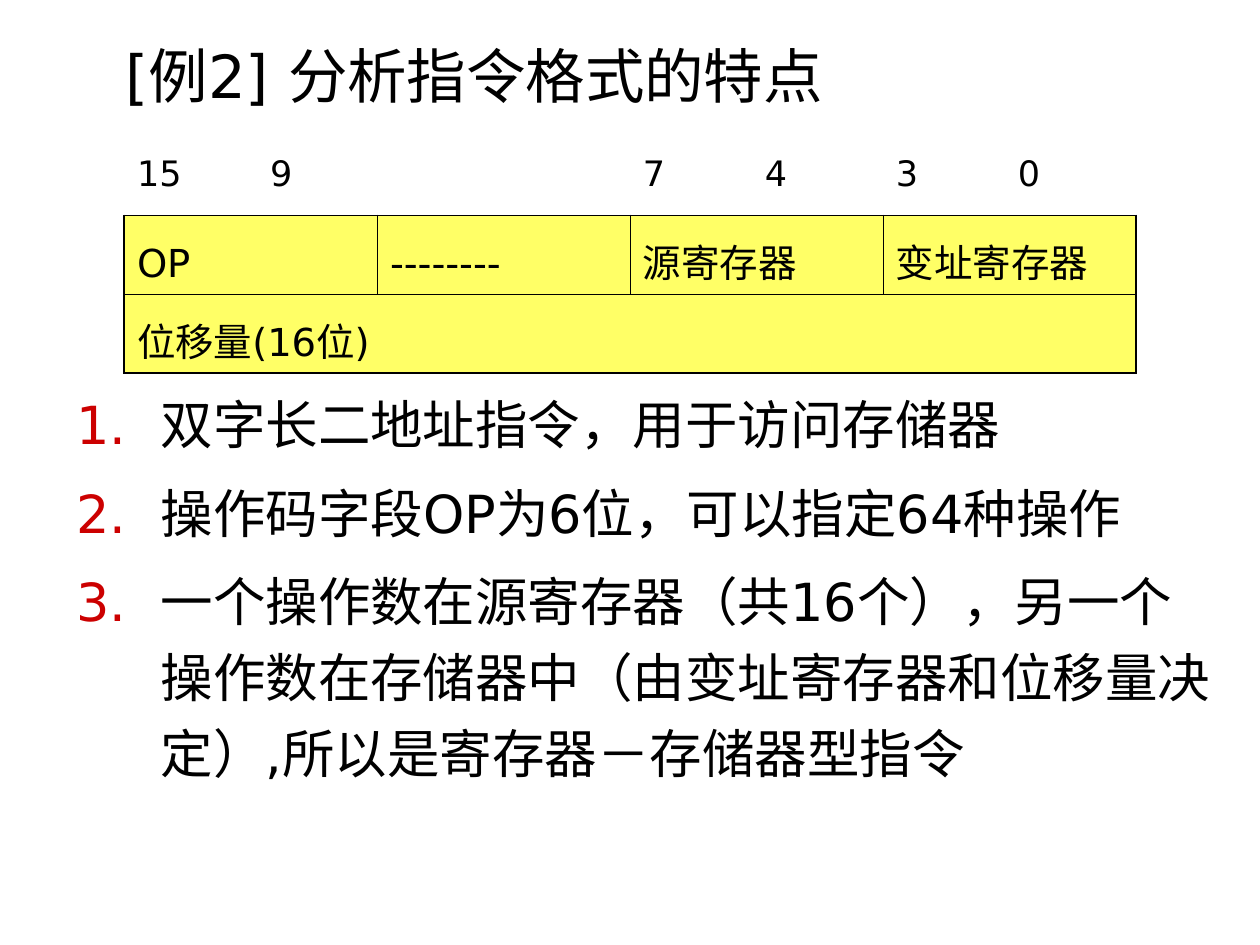
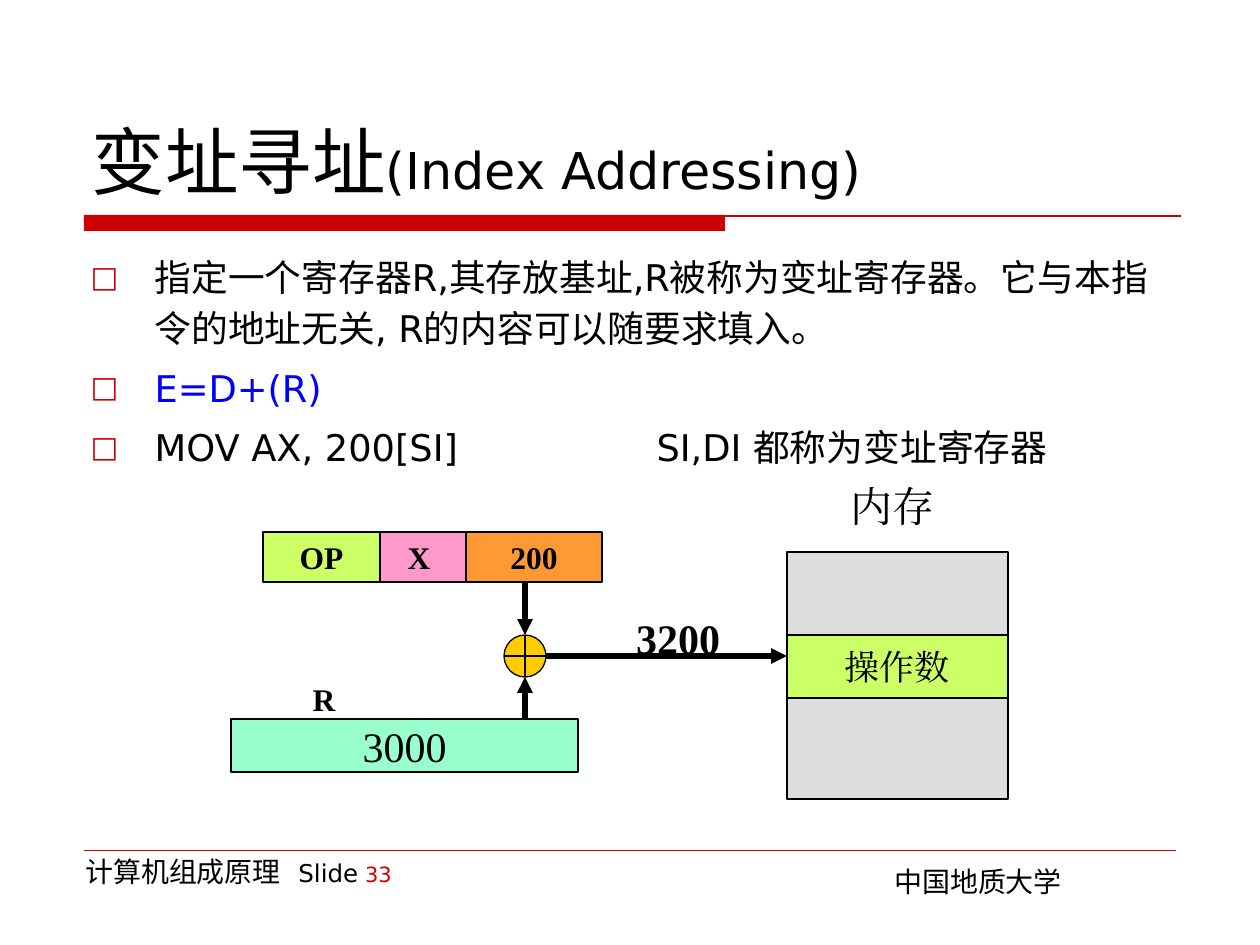
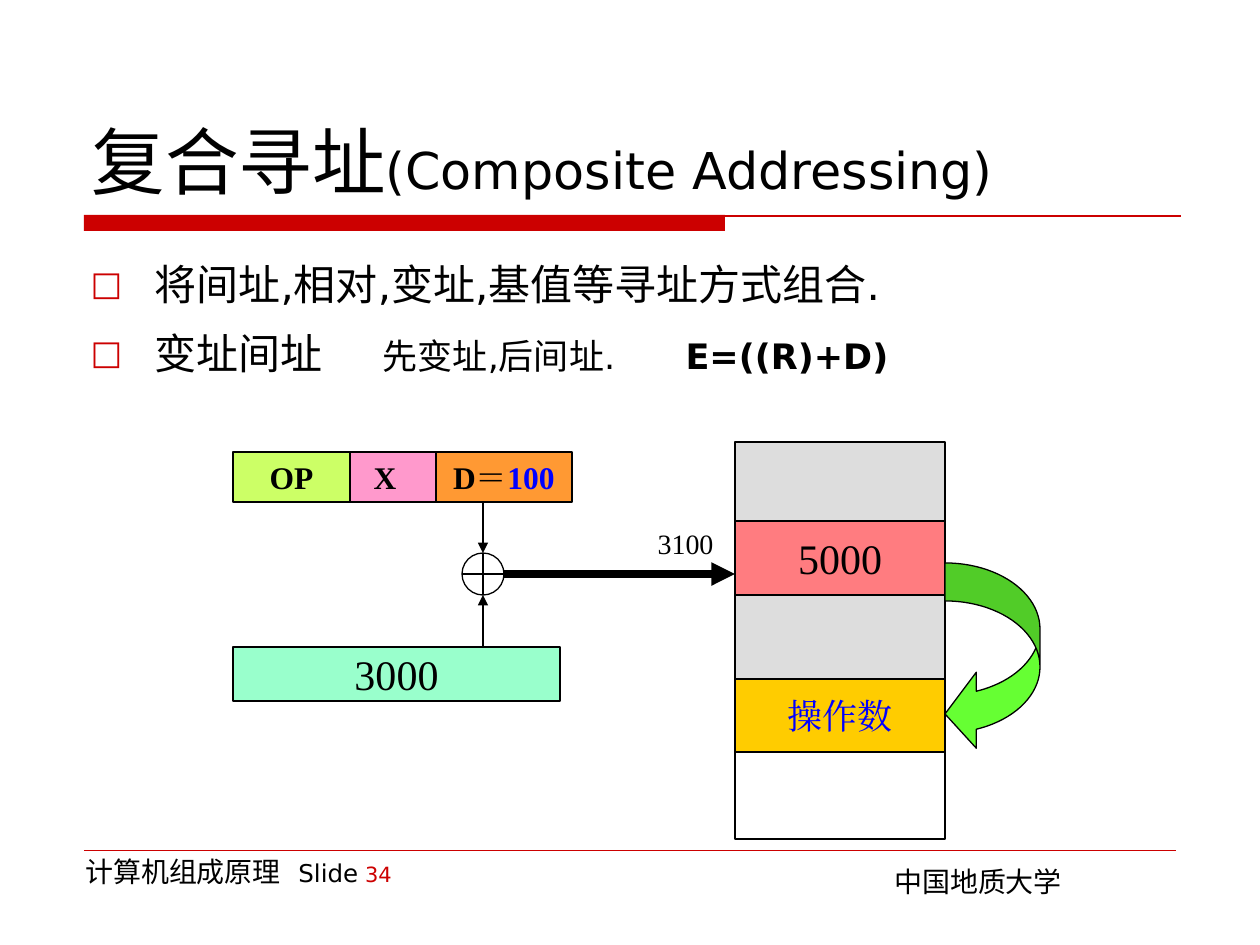
from dataclasses import dataclass

from lxml import etree
from pptx import Presentation
from pptx import slide as slides
from pptx import util as u
from pptx.dml import color
from pptx.enum import shapes, text
from pptx.oxml.ns import qn

EMU_PER_PX = 914400 / 126


@dataclass(frozen=True)
class Theme:
    """Colours, fonts and type sizes of the deck."""

    black: str = "000000"
    red: str = "CC0000"
    blue: str = "0000FF"
    yellow: str = "FFFF66"
    grey: str = "DDDDDD"
    lime: str = "CCFF66"
    pink: str = "FF99CC"
    orange: str = "FF9933"
    mint: str = "99FFCC"
    gold: str = "FFCC00"
    coral: str = "FF7C80"
    green: str = "66FF33"
    sans: str = "DejaVu Sans"
    cjk: str = "Noto Sans CJK JP"
    serif: str = "Times New Roman"
    title: int = 42
    subtitle: int = 29
    example_title: int = 34
    example: int = 30
    large: int = 24
    cell: int = 22
    body: int = 21
    medium: int = 20
    field: int = 18
    small: int = 16
    footer: int = 14
    number: int = 12
    outline: float = 0.75
    hairline: float = 0.25
    grid: float = 0.45
    frame: float = 1.08


THEME = Theme()


@dataclass(frozen=True)
class Piece:
    """A stretch of text in one format."""

    words: str
    size: int
    hue: str = THEME.black
    font: str = THEME.sans
    bold: bool = False


@dataclass(frozen=True)
class Item:
    """A list paragraph with its spacing and tab stops."""

    pieces: tuple[Piece, ...]
    space_before: float
    tabs: tuple[int, ...] = ()


@dataclass(frozen=True)
class ListStyle:
    """Marker, indent and line spacing of a list."""

    marker: str
    attributes: dict[str, str]
    size_percent: int
    indent: int
    line_spacing: float


@dataclass(frozen=True)
class Area:
    """A rectangle in px."""

    left: int
    top: int
    width: int
    height: int

    def emu(self) -> tuple[u.Emu, ...]:
        """Return the four lengths in EMU."""
        return tuple(px(n) for n in (self.left, self.top, self.width, self.height))


@dataclass(frozen=True)
class Cell:
    """One block of a memory column or an instruction word."""

    extent: int
    fill: str | None
    pieces: tuple[Piece, ...] = ()
    shift: int = 0


@dataclass(frozen=True)
class Adder:
    """An adder with its two inputs and its output arrow."""

    left: int
    top: int
    word_bottom: int
    register_top: int
    memory_left: int
    fill: str | None
    input_weight: float
    output_weight: float


NUMBERED = ListStyle("a:buAutoNum", {"type": "arabicPeriod"}, 100, 84, 1.2)
SQUARES_TIGHT = ListStyle("a:buChar", {"char": "□"}, 80, 64, 1.15)
SQUARES = ListStyle("a:buChar", {"char": "□"}, 80, 64, 1.2)


def px(length: float) -> u.Emu:
    """Turn px into EMU."""
    return u.Emu(round(length * EMU_PER_PX))


def rgb(value: str) -> color.RGBColor:
    """Return a colour from its hex value."""
    return color.RGBColor.from_string(value)


def serif(words: str, size: int, hue: str = THEME.black, bold: bool = False) -> Piece:
    """Return a diagram text piece."""
    return Piece(words, size, hue, THEME.serif, bold)


def field(words: str, hue: str = THEME.black) -> Piece:
    """Return a bold instruction field text."""
    return serif(words, THEME.field, hue, True)


def write(paragraph, pieces: tuple[Piece, ...]) -> None:
    """Add the pieces to a paragraph as formatted runs."""
    for piece in pieces:
        run = paragraph.add_run()
        run.text = piece.words
        run.font.size = u.Pt(piece.size)
        run.font.bold = piece.bold
        run.font.color.rgb = rgb(piece.hue)
        run.font.name = piece.font
        latin = run.font._element.find(qn("a:latin"))
        east_asian = etree.Element(qn("a:ea"), typeface=piece.font)
        latin.addnext(east_asian)


def set_tabs(paragraph, stops: tuple[int, ...]) -> None:
    """Give a paragraph left tab stops."""
    if stops:
        tab_list = etree.SubElement(paragraph._p.get_or_add_pPr(), qn("a:tabLst"))
        for stop in stops:
            etree.SubElement(tab_list, qn("a:tab"), pos=str(px(stop)), algn="l")


def set_bullet(paragraph, style: ListStyle) -> None:
    """Give a paragraph a red marker and a hanging indent."""
    properties = paragraph._p.get_or_add_pPr()
    properties.set("marL", str(px(style.indent)))
    properties.set("indent", str(-px(style.indent)))
    hue = etree.SubElement(properties, qn("a:buClr"))
    etree.SubElement(hue, qn("a:srgbClr"), val=THEME.red)
    etree.SubElement(properties, qn("a:buSzPct"), val=str(style.size_percent * 1000))
    etree.SubElement(properties, qn("a:buFont"), typeface=THEME.sans)
    etree.SubElement(properties, qn(style.marker), style.attributes)


def place(shape, area: Area) -> None:
    """Move a placeholder to an area."""
    shape.left, shape.top, shape.width, shape.height = area.emu()
    shape.text_frame.word_wrap = True
    shape.text_frame.auto_size = text.MSO_AUTO_SIZE.NONE


def set_title(slide: slides.Slide, area: Area, pieces: tuple[Piece, ...]) -> None:
    """Fill the title placeholder."""
    title = slide.shapes.title
    place(title, area)
    title.text_frame.vertical_anchor = text.MSO_ANCHOR.BOTTOM
    paragraph = title.text_frame.paragraphs[0]
    paragraph.alignment = text.PP_ALIGN.LEFT
    write(paragraph, pieces)


def set_body(slide: slides.Slide, area: Area, style: ListStyle, items: tuple[Item, ...]) -> None:
    """Fill the body placeholder with a list."""
    body = slide.placeholders[1]
    place(body, area)
    frame = body.text_frame
    for index, item in enumerate(items):
        paragraph = frame.add_paragraph() if index else frame.paragraphs[0]
        set_bullet(paragraph, style)
        set_tabs(paragraph, item.tabs)
        paragraph.line_spacing = style.line_spacing
        paragraph.space_before = u.Pt(item.space_before if index else 0)
        write(paragraph, item.pieces)


def add_text(slide: slides.Slide, area: Area, pieces: tuple[Piece, ...],
             tabs: tuple[int, ...] = ()) -> None:
    """Add a left-aligned text box."""
    frame = slide.shapes.add_textbox(*area.emu()).text_frame
    frame.word_wrap = True
    set_tabs(frame.paragraphs[0], tabs)
    write(frame.paragraphs[0], pieces)


def add_block(slide: slides.Slide, area: Area, fill: str | None,
              kind: shapes.MSO_SHAPE = shapes.MSO_SHAPE.RECTANGLE, line: str | None = THEME.black):
    """Add a preset shape with a flat fill and outline."""
    shape = slide.shapes.add_shape(kind, *area.emu())
    shape.shadow.inherit = False
    if fill:
        shape.fill.solid()
        shape.fill.fore_color.rgb = rgb(fill)
    else:
        shape.fill.background()
    if line:
        shape.line.color.rgb = rgb(line)
        shape.line.width = u.Pt(THEME.outline)
    else:
        shape.line.fill.background()
    return shape


def center(shape, pieces: tuple[Piece, ...], shift: int = 0) -> None:
    """Write centred text, shifted left by some px."""
    frame = shape.text_frame
    frame.word_wrap = True
    frame.vertical_anchor = text.MSO_ANCHOR.MIDDLE
    frame.margin_left = px(6)
    frame.margin_right = px(6 + 2 * shift)
    frame.paragraphs[0].alignment = text.PP_ALIGN.CENTER
    write(frame.paragraphs[0], pieces)


def add_label(slide: slides.Slide, area: Area, piece: Piece) -> None:
    """Add a centred diagram label."""
    center(slide.shapes.add_textbox(*area.emu()), (piece,))


def add_cell(slide: slides.Slide, area: Area, cell: Cell) -> None:
    """Draw one diagram cell."""
    shape = add_block(slide, area, cell.fill)
    if cell.pieces:
        center(shape, cell.pieces, cell.shift)


def add_memory(slide: slides.Slide, left: int, top: int, width: int,
               cells: tuple[Cell, ...]) -> None:
    """Stack memory cells downwards."""
    for cell in cells:
        add_cell(slide, Area(left, top, width, cell.extent), cell)
        top += cell.extent


def add_word(slide: slides.Slide, left: int, top: int, operand: tuple[Piece, ...],
             shift: int) -> None:
    """Draw an instruction word of three fields."""
    cells = (
        Cell(117, THEME.lime, (field("OP"),)),
        Cell(86, THEME.pink, (field("X"),), shift),
        Cell(136, THEME.orange, operand),
    )
    for cell in cells:
        add_cell(slide, Area(left, top, cell.extent, 50), cell)
        left += cell.extent


def add_line(slide: slides.Slide, start: tuple[int, int], end: tuple[int, int], hue: str,
             weight: float, arrow: bool = False) -> None:
    """Draw a straight line or arrow."""
    connector = slide.shapes.add_connector(
        shapes.MSO_CONNECTOR.STRAIGHT, *(px(n) for n in start + end))
    connector.line.color.rgb = rgb(hue)
    connector.line.width = u.Pt(weight)
    properties = connector._element.spPr
    if arrow:
        etree.SubElement(properties.find(qn("a:ln")), qn("a:tailEnd"), type="triangle")
    etree.SubElement(properties, qn("a:effectLst"))


def add_adder(slide: slides.Slide, adder: Adder) -> None:
    """Draw an adder and its three arrows."""
    size = 42
    middle_x, middle_y = adder.left + size // 2, adder.top + size // 2
    add_block(slide, Area(adder.left, adder.top, size, size), adder.fill,
              shapes.MSO_SHAPE.FLOWCHART_OR)
    arrows = (
        ((middle_x, adder.word_bottom), (middle_x, adder.top), adder.input_weight),
        ((middle_x, adder.register_top), (middle_x, adder.top + size), adder.input_weight),
        ((adder.left + size, middle_y), (adder.memory_left, middle_y), adder.output_weight),
    )
    for start, end, weight in arrows:
        add_line(slide, start, end, THEME.black, weight, True)


def new_slide(presentation) -> slides.Slide:
    """Add a slide with a title and a body."""
    return presentation.slides.add_slide(presentation.slide_layouts[1])


def new_topic(presentation, name: str, english: str, number: int) -> slides.Slide:
    """Add a slide with the title, red band and footer."""
    slide = new_slide(presentation)
    add_block(slide, Area(84, 215, 641, 16), THEME.red, line=None)
    add_line(slide, (84, 216), (1181, 216), THEME.red, THEME.outline)
    add_line(slide, (84, 850), (1176, 850), THEME.red, THEME.hairline)
    add_text(slide, Area(882, 858, 378, 66), (Piece("中国地质大学", THEME.small),))
    footer = (
        Piece("计算机组成原理\t", THEME.small),
        Piece("Slide", THEME.footer),
        Piece(" ", THEME.number),
        Piece(str(number), THEME.number, THEME.red),
    )
    add_text(slide, Area(73, 848, 378, 66), footer, (213,))
    set_title(slide, Area(79, 42, 1102, 168), (
        Piece(name, THEME.title, font=THEME.cjk),
        Piece(f"({english})", THEME.subtitle),
    ))
    return slide


def set_borders(cell, weights: tuple[float, ...]) -> None:
    """Set left, right, top and bottom borders, none where zero."""
    properties = cell._tc.get_or_add_tcPr()
    for index, (side, weight) in enumerate(zip("LRTB", weights)):
        line = etree.SubElement(properties, qn(f"a:ln{side}"), w=str(u.Pt(weight)))
        if weight:
            fill = etree.SubElement(line, qn("a:solidFill"))
            etree.SubElement(fill, qn("a:srgbClr"), val=THEME.black)
        else:
            etree.SubElement(line, qn("a:noFill"))
        properties.insert(index, line)


def add_format_table(slide: slides.Slide) -> None:
    """Draw the instruction format with its bit numbers."""
    rows = (
        ("15\t9", "", "7\t4", "3\t0"),
        ("OP", "--------", "源寄存器", "变址寄存器"),
        ("位移量(16位)", "", "", ""),
    )
    heights = (90, 79, 79)
    bit_tabs = (133, 122, 122, 122)
    area = Area(124, 125, 1012, sum(heights))
    table = slide.shapes.add_table(len(rows), len(rows[0]), *area.emu()).table
    table.first_row = table.horz_banding = False
    for column in table.columns:
        column.width = px(area.width / len(rows[0]))
    last_row, last_column = len(rows) - 1, len(rows[0]) - 1
    for r, (words, height) in enumerate(zip(rows, heights)):
        table.rows[r].height = px(height)
        for c, word in enumerate(words):
            cell = table.cell(r, c)
            cell.vertical_anchor = text.MSO_ANCHOR.MIDDLE
            cell.margin_left = cell.margin_right = px(13)
            cell.margin_top, cell.margin_bottom = px(16 if r else 6), px(6)
            paragraph = cell.text_frame.paragraphs[0]
            if r:
                cell.fill.solid()
                cell.fill.fore_color.rgb = rgb(THEME.yellow)
                set_borders(cell, (
                    THEME.grid if c else THEME.frame,
                    THEME.frame if c == last_column or r == last_row else THEME.grid,
                    THEME.grid,
                    THEME.frame if r == last_row else THEME.grid,
                ))
            else:
                cell.fill.background()
                set_borders(cell, (0, 0, 0, THEME.grid))
                set_tabs(paragraph, (bit_tabs[c],))
            paragraph.line_spacing = 1.2
            if word:
                write(paragraph, (Piece(word, THEME.cell if r else THEME.medium),))
    table.cell(last_row, 0).merge(table.cell(last_row, last_column))


def build_example(presentation) -> None:
    """Build the instruction format example."""
    slide = new_slide(presentation)
    set_title(slide, Area(113, 0, 1071, 117),
              (Piece("[例2] 分析指令格式的特点", THEME.example_title),))
    points = (
        "双字长二地址指令，用于访问存储器",
        "操作码字段OP为6位，可以指定64种操作",
        "一个操作数在源寄存器（共16个），另一个操作数在存储器中"
        "（由变址寄存器和位移量决定）,所以是寄存器－存储器型指令",
    )
    set_body(slide, Area(64, 373, 1171, 517), NUMBERED,
             tuple(Item((Piece(point, THEME.example),), 7.5) for point in points))
    add_format_table(slide)


def build_index(presentation) -> None:
    """Build the index addressing slide."""
    slide = new_topic(presentation, "变址寻址", "Index Addressing", 33)
    lines = (
        ("指定一个寄存器R,其存放基址,R被称为变址寄存器。它与本指令的地址无关, R的内容可以随要求填入。",
         THEME.black),
        ("E=D+(R)", THEME.blue),
        ("MOV AX, 200[SI]\tSI,DI 都称为变址寄存器", THEME.black),
    )
    set_body(slide, Area(78, 242, 1102, 284), SQUARES_TIGHT, tuple(
        Item((Piece(words, THEME.body, hue),), 5.2, (566,) if "\t" in words else ())
        for words, hue in lines))
    add_word(slide, 263, 532, (field("200"),), 4)
    add_cell(slide, Area(231, 719, 347, 53),
             Cell(53, THEME.mint, (serif("3000", THEME.large),)))
    add_memory(slide, 787, 552, 221, (
        Cell(83, THEME.grey),
        Cell(63, THEME.lime, (serif("操作数", THEME.medium),)),
        Cell(101, THEME.grey),
    ))
    add_adder(slide, Adder(504, 635, 583, 719, 787, THEME.gold, 3, 3))
    add_label(slide, Area(296, 674, 56, 50), field("R"))
    add_label(slide, Area(613, 606, 130, 63), serif("3200", THEME.large, bold=True))
    add_label(slide, Area(839, 474, 108, 63), serif("内存", THEME.large))


def build_composite(presentation) -> None:
    """Build the composite addressing slide."""
    slide = new_topic(presentation, "复合寻址", "Composite Addressing", 34)
    set_body(slide, Area(78, 242, 1102, 197), SQUARES, (
        Item((Piece("将间址,相对,变址,基值等寻址方式组合.", THEME.large),), 6),
        Item((
            Piece("变址间址\t", THEME.large),
            Piece("先变址,后间址.\t", THEME.medium),
            Piece("E=((R)+D)", THEME.medium, bold=True),
        ), 5, (292, 595)),
    ))
    add_word(slide, 233, 452, (field("D＝"), field("100", THEME.blue)), 8)
    add_cell(slide, Area(233, 647, 327, 54),
             Cell(54, THEME.mint, (serif("3000", THEME.large),)))
    add_memory(slide, 735, 442, 210, (
        Cell(79, THEME.grey),
        Cell(74, THEME.coral, (serif("5000", THEME.large),)),
        Cell(84, THEME.grey),
        Cell(73, THEME.gold, (serif("操作数", THEME.medium, THEME.blue),)),
        Cell(87, None),
    ))
    add_adder(slide, Adder(462, 553, 502, 647, 735, None, THEME.outline, 4.5))
    add_label(slide, Area(645, 520, 81, 46), serif("3100", THEME.small))
    arrow = add_block(slide, Area(945, 563, 95, 189), THEME.green,
                      shapes.MSO_SHAPE.CURVED_LEFT_ARROW)
    for index, value in enumerate((0.4, 0.8, 0.33)):
        arrow.adjustments[index] = value


def main() -> None:
    """Build the three slides and save them."""
    presentation = Presentation()
    presentation.slide_width, presentation.slide_height = u.Inches(10), u.Inches(7.5)
    for build in (build_example, build_index, build_composite):
        build(presentation)
    presentation.save("out.pptx")


if __name__ == "__main__":
    main()
